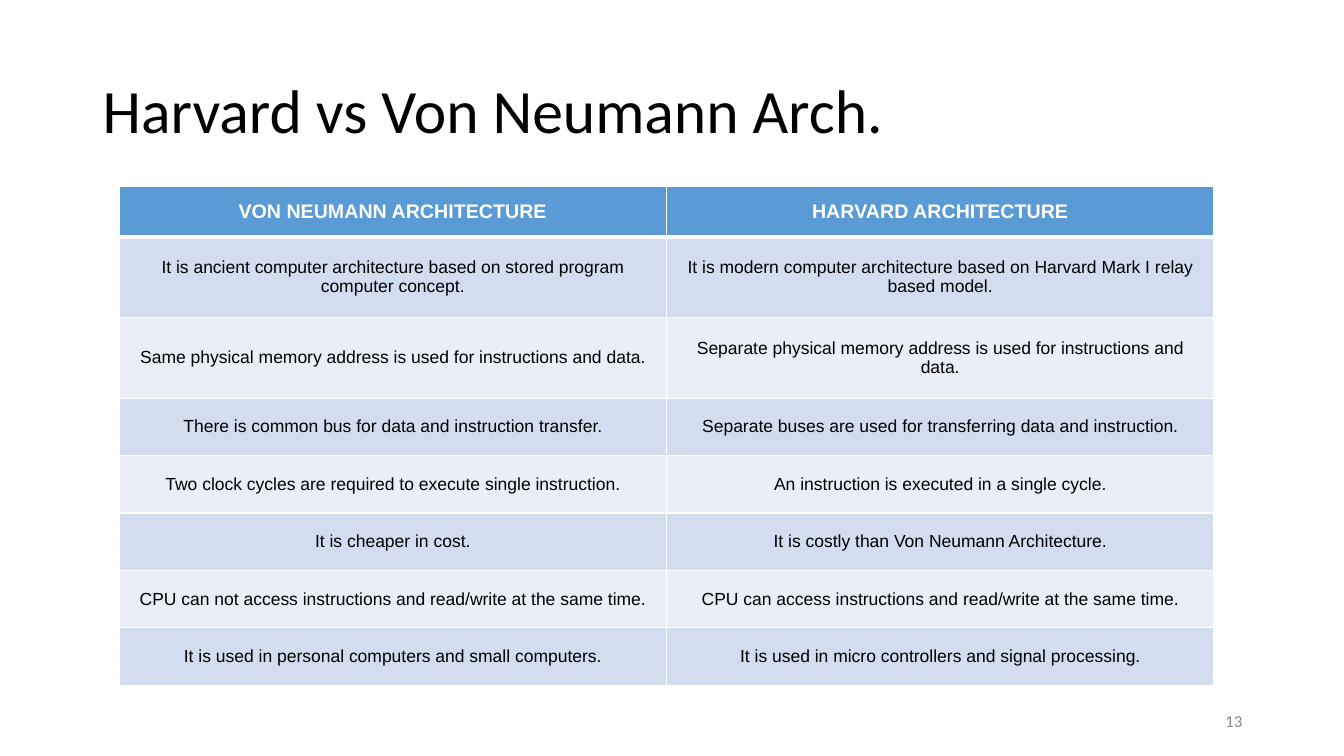
import dataclasses
import typing

import lxml.etree
import pptx
import pptx.dml.color
import pptx.enum.text
import pptx.oxml.ns
import pptx.util

Inch = pptx.util.Inches
Align = pptx.enum.text.PP_ALIGN
Anchor = pptx.enum.text.MSO_ANCHOR
WIDE, HIGH = 13.33, 7.5


@dataclasses.dataclass(frozen=True)
class Theme:
    """Colours, fonts and line widths of the slide."""
    ink: str = "000000"
    white: str = "FFFFFF"
    grey: str = "888888"
    head: str = "5B9BD5"
    bands: tuple[str, str] = ("D2DEEF", "EAEFF7")
    title: str = "Calibri"
    body: str = "Arial"
    big: float = 44
    label: float = 14
    small: float = 12.5
    page: float = 12
    thin: float = 1
    thick: float = 3


@dataclasses.dataclass(frozen=True)
class Box:
    """Place of an item, in shares of the slide's size."""
    left: float
    top: float
    width: float
    height: float

    def emu(self) -> tuple[int, ...]:
        """Turn the shares into lengths."""
        return (Inch(self.left * WIDE), Inch(self.top * HIGH),
                Inch(self.width * WIDE), Inch(self.height * HIGH))


class Style(typing.NamedTuple):
    """Look of one paragraph."""
    font: str
    size: float
    color: str
    align: Align = Align.CENTER
    bold: bool = False


class Row(typing.NamedTuple):
    """One table row: its height in inches and its two texts."""
    height: float
    neumann: str
    harvard: str


THEME = Theme()
TITLE = Box(0.92 / WIDE, 0.4 / HIGH, 11.5 / WIDE, 1.45 / HIGH)
PAGE = Box(9.42 / WIDE, 6.95 / HIGH, 3 / WIDE, 0.4 / HIGH)
GRID = Box(1.18 / WIDE, 1.85 / HIGH, 10.86 / WIDE, 4.94 / HIGH)
HEAD, TALL, LOW = 0.5, 0.8, 0.57
ROWS = [
    Row(HEAD, "VON NEUMANN ARCHITECTURE", "HARVARD ARCHITECTURE"),
    Row(TALL, "It is ancient computer architecture based on stored program computer concept.",
        "It is modern computer architecture based on Harvard Mark I relay based model."),
    Row(TALL, "Same physical memory address is used for instructions and data.",
        "Separate physical memory address is used for instructions and data."),
    Row(LOW, "There is common bus for data and instruction transfer.",
        "Separate buses are used for transferring data and instruction."),
    Row(LOW, "Two clock cycles are required to execute single instruction.",
        "An instruction is executed in a single cycle."),
    Row(LOW, "It is cheaper in cost.", "It is costly than Von Neumann Architecture."),
    Row(LOW, "CPU can not access instructions and read/write at the same time.",
        "CPU can access instructions and read/write at the same time."),
    Row(LOW, "It is used in personal computers and small computers.",
        "It is used in micro controllers and signal processing."),
]


def rgb(code: str) -> pptx.dml.color.RGBColor:
    """Make a colour from its hex code."""
    return pptx.dml.color.RGBColor.from_string(code)


def write(frame, text: str, style: Style):
    """Put one styled paragraph into a text frame and return it."""
    para = frame.paragraphs[0]
    para.text, para.alignment = text, style.align
    font = para.font
    font.name, font.size, font.bold = style.font, pptx.util.Pt(style.size), style.bold
    font.color.rgb = rgb(style.color)
    return para


def add_text(slide, box: Box, text: str, style: Style):
    """Add a wrapped, middle-anchored text box and return its paragraph."""
    frame = slide.shapes.add_textbox(*box.emu()).text_frame
    frame.word_wrap, frame.vertical_anchor = True, Anchor.MIDDLE
    return write(frame, text, style)


def edge(cell, side: str, width: float) -> None:
    """Draw one white border of a cell."""
    name = pptx.oxml.ns.qn
    props = cell._tc.get_or_add_tcPr()
    line = lxml.etree.SubElement(props, name(f"a:ln{side}"), w=str(pptx.util.Pt(width)))
    fill = lxml.etree.SubElement(line, name("a:solidFill"))
    lxml.etree.SubElement(fill, name("a:srgbClr"), val=THEME.white)


def fill_cell(cell, text: str, index: int) -> None:
    """Style one cell according to its row index."""
    top = index == 0
    for side in "LRTB":
        rule = (index, side) in ((0, "B"), (1, "T"))
        edge(cell, side, THEME.thick if rule else THEME.thin)
    cell.fill.solid()
    cell.fill.fore_color.rgb = rgb(THEME.head if top else THEME.bands[(index - 1) % 2])
    cell.vertical_anchor = Anchor.MIDDLE
    cell.margin_left = cell.margin_right = Inch(0.1)
    cell.margin_top = cell.margin_bottom = Inch(0.1 if top else 0.15)
    style = (Style(THEME.body, THEME.label, THEME.white, bold=True) if top
             else Style(THEME.body, THEME.small, THEME.ink))
    write(cell.text_frame, text, style)


def add_grid(slide, box: Box, rows: list[Row]) -> None:
    """Add the comparison table."""
    table = slide.shapes.add_table(len(rows), 2, *box.emu()).table
    for index, row in enumerate(rows):
        table.rows[index].height = Inch(row.height)
        for col, text in enumerate((row.neumann, row.harvard)):
            fill_cell(table.cell(index, col), text, index)


def main() -> None:
    """Build and save the slide."""
    deck = pptx.Presentation()
    deck.slide_width, deck.slide_height = Inch(WIDE), Inch(HIGH)
    slide = deck.slides.add_slide(deck.slide_layouts[6])
    title = add_text(slide, TITLE, "Harvard vs Von Neumann Arch.",
                     Style(THEME.title, THEME.big, THEME.ink, Align.LEFT))
    title.line_spacing = 0.9
    add_text(slide, PAGE, "13", Style(THEME.title, THEME.page, THEME.grey, Align.RIGHT))
    add_grid(slide, GRID, ROWS)
    deck.save("out.pptx")


main()
